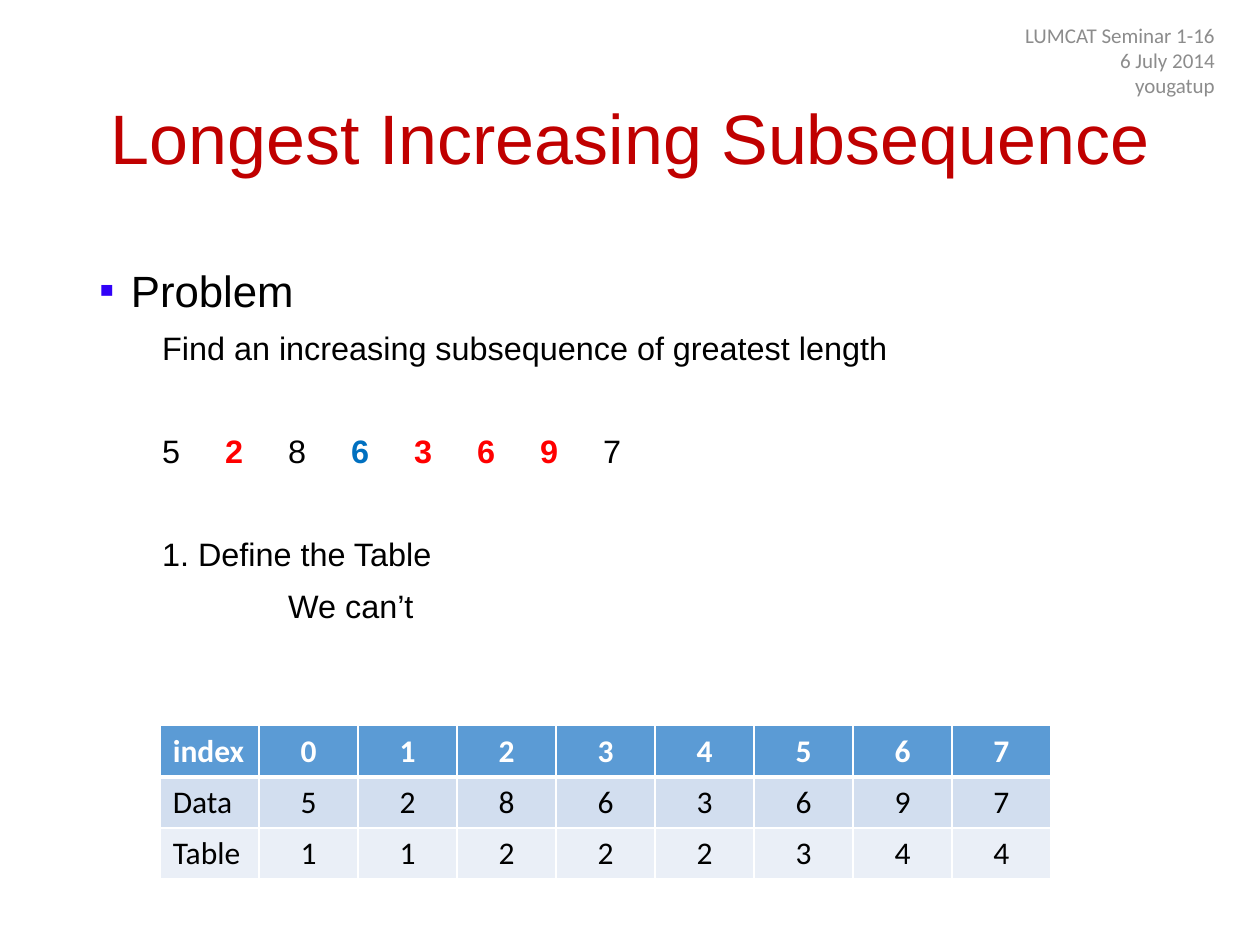
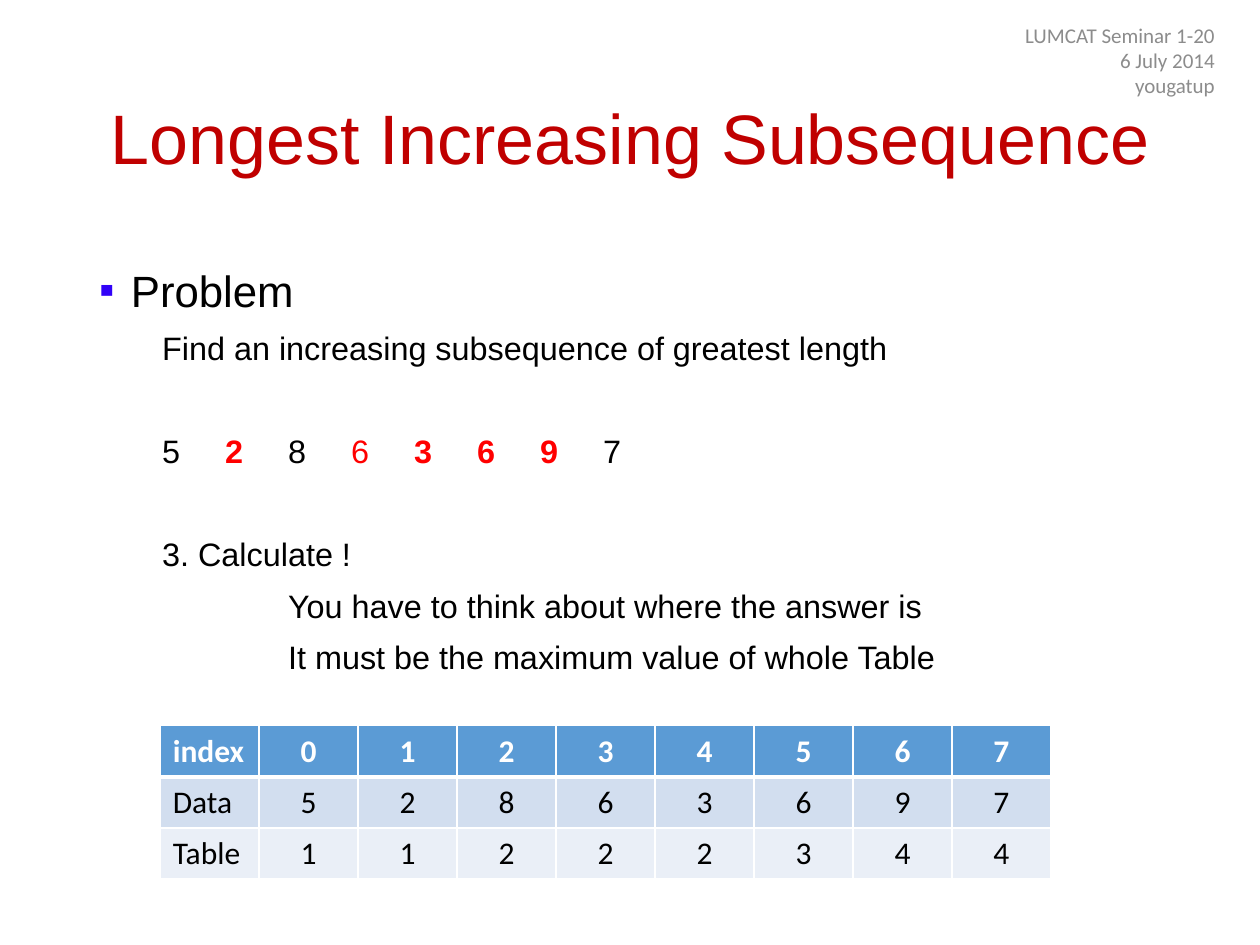
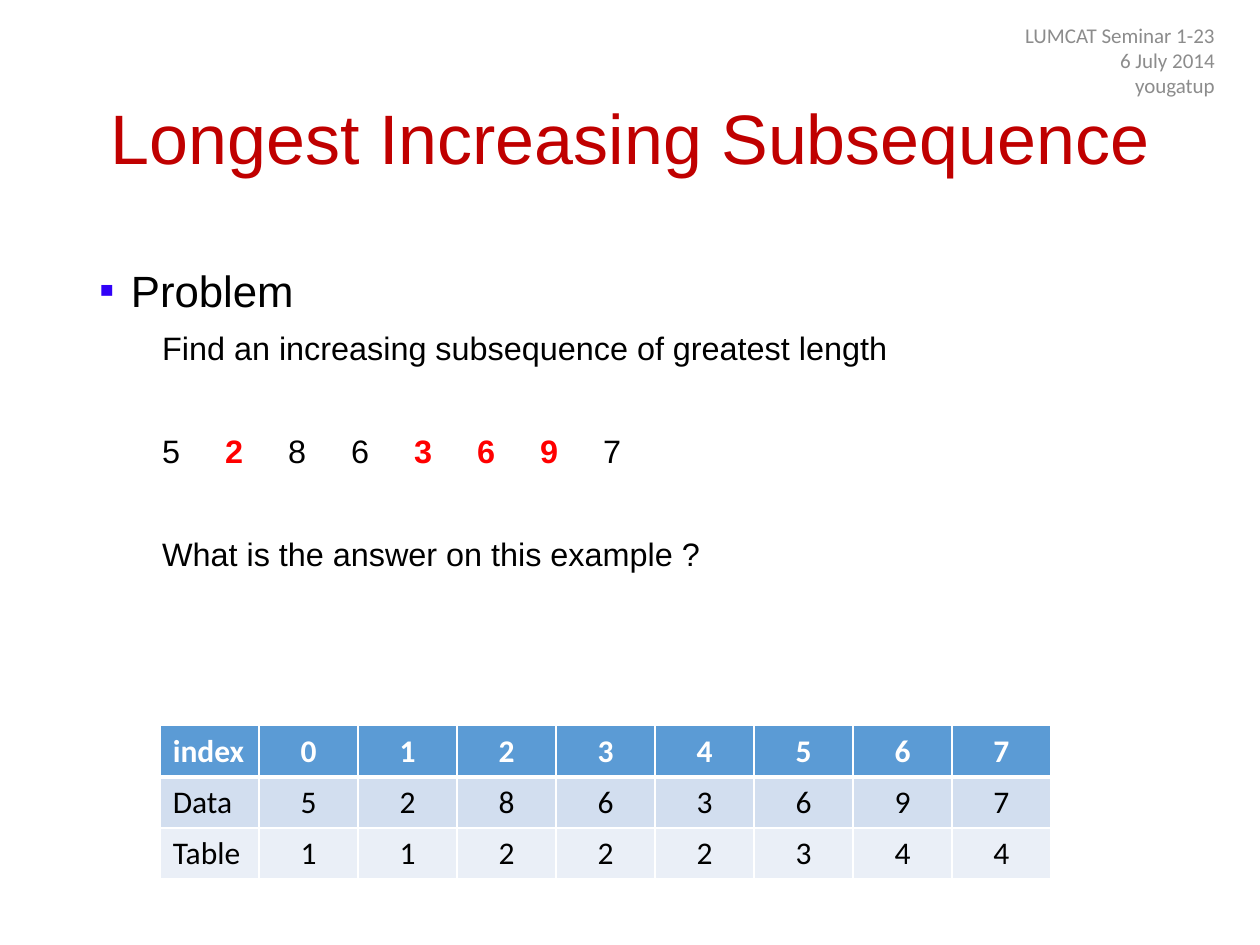
from lxml import etree
from pptx import Presentation
from pptx.dml.color import RGBColor
from pptx.enum.text import MSO_ANCHOR, PP_ALIGN
from pptx.oxml.ns import qn
from pptx.util import Cm, Pt

LEFT, CENTER = PP_ALIGN.LEFT, PP_ALIGN.CENTER
RIGHT, JUSTIFY = PP_ALIGN.RIGHT, PP_ALIGN.JUSTIFY
TOP, MIDDLE = MSO_ANCHOR.TOP, MSO_ANCHOR.MIDDLE

DARK_RED = RGBColor(0xC0, 0x00, 0x00)
RED = RGBColor(0xFF, 0x00, 0x00)
BLUE = RGBColor(0x00, 0x70, 0xC0)
BULLET_BLUE = RGBColor(0x31, 0x02, 0xF8)
GRAY = RGBColor(0x8C, 0x8C, 0x8C)
BLACK = RGBColor(0x00, 0x00, 0x00)
WHITE = RGBColor(0xFF, 0xFF, 0xFF)
HEADER_FILL = RGBColor(0x5B, 0x9B, 0xD5)
ROW_FILLS = [HEADER_FILL, RGBColor(0xD2, 0xDE, 0xEF), RGBColor(0xEA, 0xEF, 0xF7)]

TITLE_FONT = {"name": "Arial", "size": Pt(40)}
HEAD_FONT = {"name": "Arial", "size": Pt(25)}
BODY_FONT = {"name": "Arial", "size": Pt(18.5)}
NOTE_FONT = {"name": "Calibri", "size": Pt(12)}
CELL_FONT = {"name": "Calibri", "size": Pt(18)}

TEXT_INDENT = Cm(1.27)
STEP_INDENT = Cm(3.81)
FIRST_TAB, TAB_STEP = Cm(6.35), Cm(1.27)
LINE_GAP, BLOCK_GAP = Pt(5), Pt(34.4)

DATA = [5, 2, 8, 6, 3, 6, 9, 7]
LENGTHS = [1, 1, 2, 2, 2, 3, 4, 4]
ROWS = [["index", *range(len(DATA))], ["Data", *DATA], ["Table", *LENGTHS]]
ANSWER = {i: (RED, True) for i in (1, 4, 5, 6)}

SLIDES = [
    (16, {**ANSWER, 3: (BLUE, True)}, "1. Define the Table", ["We can’t"]),
    (20, {**ANSWER, 3: (RED, False)}, "3. Calculate !",
     ["You have to think about where the answer is",
      "It must be the maximum value of whole Table"]),
    (23, ANSWER, "What is the answer on this example ?", []),
]


def add_run(p, text, font, color, bold=False):
    r = p.add_run()
    r.text = text
    for key, value in {**font, "bold": bold}.items():
        setattr(r.font, key, value)
    r.font.color.rgb = color


def add_frame(s, left, top, width, height, anchor):
    tf = s.shapes.add_textbox(left, top, width, height).text_frame
    tf.word_wrap = True
    tf.vertical_anchor = anchor
    return tf


def next_paragraph(tf, **formats):
    p = tf.paragraphs[0]
    if p.runs:
        p = tf.add_paragraph()
    for key, value in formats.items():
        setattr(p, key, value)
    return p


def set_indent(p, left, first=0):
    pPr = p._p.get_or_add_pPr()
    pPr.set("marL", str(int(left)))
    pPr.set("indent", str(int(first)))
    return pPr


def add_bullet(pPr, char, color):
    clr = etree.SubElement(pPr, qn("a:buClr"))
    etree.SubElement(clr, qn("a:srgbClr"), val=str(color))
    etree.SubElement(pPr, qn("a:buFont"), typeface="Arial")
    etree.SubElement(pPr, qn("a:buChar"), char=char)


def add_title(s, text):
    tf = add_frame(s, Cm(1.75), Cm(1.02), Cm(21.9), Cm(3.68), MIDDLE)
    p = next_paragraph(tf, alignment=CENTER, line_spacing=0.9)
    add_run(p, text, TITLE_FONT, DARK_RED)


def add_seminar_note(s, number):
    tf = add_frame(s, Cm(19.02), Cm(0.51), Cm(5.72), Cm(1.4), MIDDLE)
    for text in (f"LUMCAT Seminar 1-{number}", "6 July 2014", "yougatup"):
        add_run(next_paragraph(tf, alignment=RIGHT), text, NOTE_FONT, GRAY)


def add_line(tf, text, indent=TEXT_INDENT, gap=LINE_GAP, align=JUSTIFY):
    p = next_paragraph(tf, alignment=align, line_spacing=1.1, space_before=gap)
    set_indent(p, indent)
    add_run(p, text, BODY_FONT, BLACK)


def add_sequence(tf, marks):
    p = next_paragraph(tf, alignment=LEFT, line_spacing=1.1, space_before=BLOCK_GAP)
    tabs = etree.SubElement(set_indent(p, 0), qn("a:tabLst"))
    for i, value in enumerate(DATA):
        etree.SubElement(tabs, qn("a:tab"), pos=str(FIRST_TAB + i * TAB_STEP), algn="l")
        color, bold = marks.get(i, (BLACK, False))
        add_run(p, f"\t{value}", BODY_FONT, color, bold)


def add_body(s, marks, heading, steps):
    tf = add_frame(s, Cm(1.75), Cm(5.08), Cm(22.73), Cm(12.09), TOP)
    p = next_paragraph(tf, line_spacing=1.1, space_before=Pt(10))
    add_bullet(set_indent(p, Cm(0.64), Cm(-0.64)), "▪", BULLET_BLUE)
    add_run(p, "Problem", HEAD_FONT, BLACK)
    add_line(tf, "Find an increasing subsequence of greatest length", align=LEFT)
    add_sequence(tf, marks)
    add_line(tf, heading, gap=BLOCK_GAP)
    for step in steps:
        add_line(tf, step, STEP_INDENT)


def set_borders(cell, widths):
    tcPr = cell._tc.get_or_add_tcPr()
    for i, (side, width) in enumerate(widths.items()):
        ln = etree.Element(qn(f"a:ln{side}"), w=str(Pt(width)))
        fill = etree.SubElement(ln, qn("a:solidFill"))
        etree.SubElement(fill, qn("a:srgbClr"), val=str(WHITE))
        tcPr.insert(i, ln)


def add_index_table(s):
    table = s.shapes.add_table(len(ROWS), len(ROWS[0]), Cm(3.23), Cm(14.63),
                               Cm(17.96), Cm(3.09)).table
    for i, row in enumerate(ROWS):
        header = i == 0
        for j, value in enumerate(row):
            cell = table.cell(i, j)
            cell.fill.solid()
            cell.fill.fore_color.rgb = ROW_FILLS[i]
            set_borders(cell, {"L": 1, "R": 1, "T": 3 if i == 1 else 1,
                               "B": 3 if header else 1})
            p = next_paragraph(cell.text_frame, alignment=CENTER if j else LEFT)
            add_run(p, str(value), CELL_FONT, WHITE if header else BLACK, header)


def main():
    prs = Presentation()
    prs.slide_width, prs.slide_height = Cm(25.4), Cm(19.05)
    for number, marks, heading, steps in SLIDES:
        s = prs.slides.add_slide(prs.slide_layouts[6])
        add_title(s, "Longest Increasing Subsequence")
        add_body(s, marks, heading, steps)
        add_seminar_note(s, number)
        add_index_table(s)
    prs.save("out.pptx")


if __name__ == "__main__":
    main()
